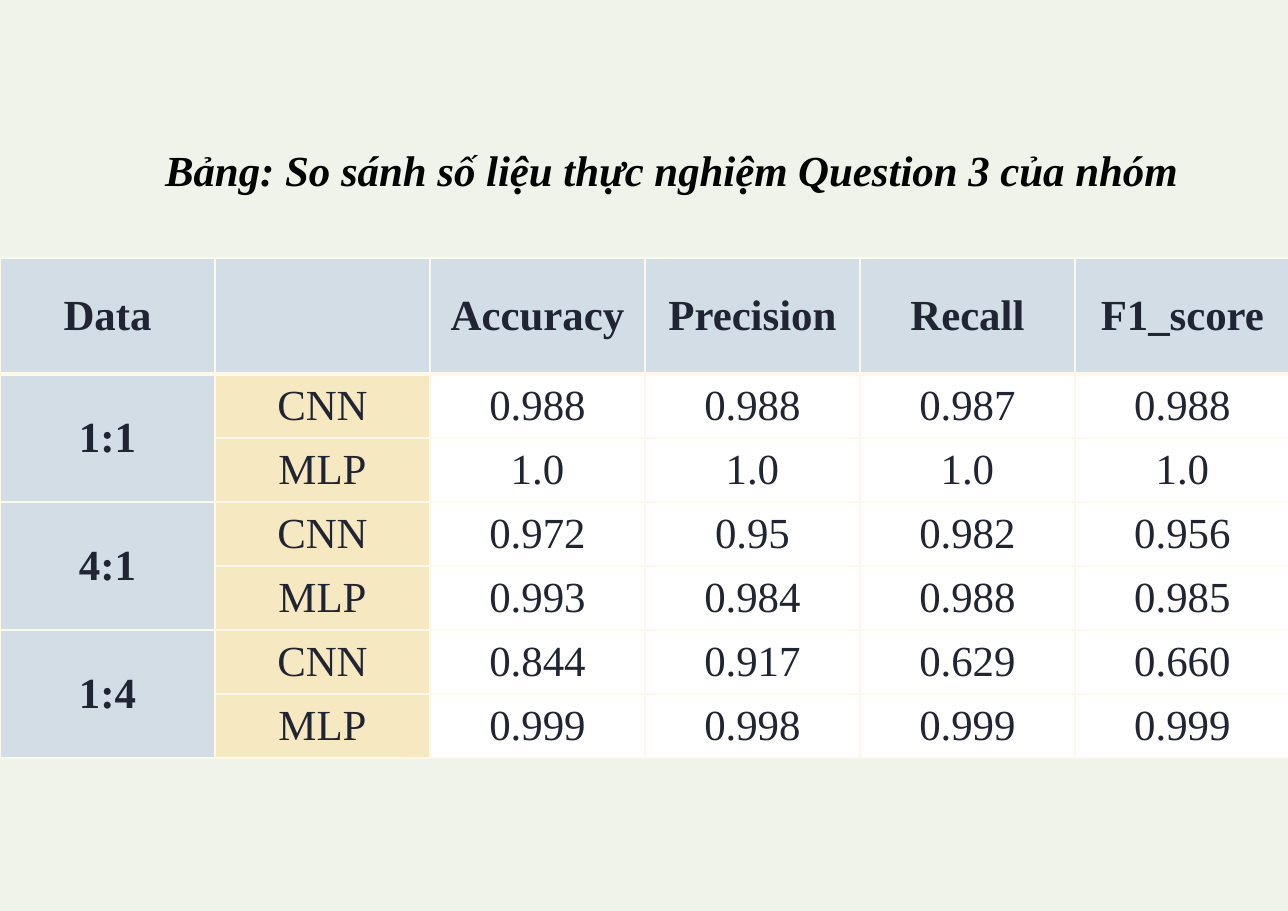
from dataclasses import dataclass

from lxml import etree
from pptx import Presentation, util as u
from pptx.dml.color import RGBColor
from pptx.enum import text
from pptx.oxml import ns

# Content
TITLE = "Bảng: So sánh số liệu thực nghiệm Question 3 của nhóm"
HEADER = ["Data", "", "Accuracy", "Precision", "Recall", "F1_score"]
RESULTS = {
    "1:1": [
        ("CNN", "0.988", "0.988", "0.987", "0.988"),
        ("MLP", "1.0", "1.0", "1.0", "1.0"),
    ],
    "4:1": [
        ("CNN", "0.972", "0.95", "0.982", "0.956"),
        ("MLP", "0.993", "0.984", "0.988", "0.985"),
    ],
    "1:4": [
        ("CNN", "0.844", "0.917", "0.629", "0.660"),
        ("MLP", "0.999", "0.998", "0.999", "0.999"),
    ],
}


@dataclass(frozen=True)
class Theme:
    font: str = "Times New Roman"
    size: int = 28
    background: str = "EFF3EA"
    title: str = "000000"
    ink: str = "212432"
    heading_fill: str = "D2DDE6"
    model_fill: str = "F6E9C1"
    value_fill: str = "FFFFFF"
    border: str = "FCF8EB"
    thin: int = 1
    thick: int = 3


THEME = Theme()

# Layout in px
SLIDE_WIDTH, SLIDE_HEIGHT = 1288, 911
TITLE_BOX = (154, 138, 1036, 63)
TABLE_TOP, COLUMN_WIDTH = 258, 215
HEADER_HEIGHT, ROW_HEIGHT = 116, 64


def px(length):
    return u.Emu(round(length * 914400 / 110.2))


def style_paragraph(paragraph, color, bold, italic=False):
    font = paragraph.font
    font.name, font.size = THEME.font, u.Pt(THEME.size)
    font.bold, font.italic = bold, italic
    font.color.rgb = RGBColor.from_string(color)


def add_borders(cell, row):
    widths = {
        "lnL": THEME.thin,
        "lnR": THEME.thin,
        "lnT": THEME.thick if row == 1 else THEME.thin,
        "lnB": THEME.thick if row == 0 else THEME.thin,
    }
    properties = cell._tc.get_or_add_tcPr()
    for side, width in widths.items():
        line = etree.SubElement(properties, ns.qn(f"a:{side}"), w=str(u.Pt(width)))
        fill = etree.SubElement(line, ns.qn("a:solidFill"))
        etree.SubElement(fill, ns.qn("a:srgbClr"), val=THEME.border)


def fill_cell(cell, words, row, column):
    heading = row == 0 or column == 0
    if heading:
        color = THEME.heading_fill
    else:
        color = THEME.model_fill if column == 1 else THEME.value_fill
    add_borders(cell, row)
    cell.fill.solid()
    cell.fill.fore_color.rgb = RGBColor.from_string(color)
    cell.vertical_anchor = text.MSO_ANCHOR.MIDDLE
    if words:
        paragraph = cell.text_frame.paragraphs[0]
        paragraph.text = words
        paragraph.alignment = text.PP_ALIGN.CENTER
        style_paragraph(paragraph, THEME.ink, bold=heading)


def add_title(slide):
    title = slide.shapes.title
    title.left, title.top, title.width, title.height = map(px, TITLE_BOX)
    frame = title.text_frame
    frame.text = TITLE
    frame.word_wrap = False
    frame.auto_size = text.MSO_AUTO_SIZE.SHAPE_TO_FIT_TEXT
    frame.vertical_anchor = text.MSO_ANCHOR.TOP
    paragraph = frame.paragraphs[0]
    paragraph.alignment = text.PP_ALIGN.LEFT
    style_paragraph(paragraph, THEME.title, bold=True, italic=True)


def add_results(slide):
    rows = [HEADER]
    for ratio, models in RESULTS.items():
        for index, values in enumerate(models):
            rows.append([ratio if index == 0 else "", *values])

    height = HEADER_HEIGHT + ROW_HEIGHT * (len(rows) - 1)
    table = slide.shapes.add_table(
        len(rows), len(HEADER), 0, px(TABLE_TOP),
        px(COLUMN_WIDTH * len(HEADER)), px(height),
    ).table
    for column in table.columns:
        column.width = px(COLUMN_WIDTH)
    for index, row in enumerate(table.rows):
        row.height = px(ROW_HEIGHT if index else HEADER_HEIGHT)

    for row, values in enumerate(rows):
        for column, words in enumerate(values):
            fill_cell(table.cell(row, column), words, row, column)

    # Each ratio spans its models
    first = 1
    for models in RESULTS.values():
        last = first + len(models) - 1
        table.cell(first, 0).merge(table.cell(last, 0))
        first = last + 1


def main():
    presentation = Presentation()
    presentation.slide_width = px(SLIDE_WIDTH)
    presentation.slide_height = px(SLIDE_HEIGHT)
    slide = presentation.slides.add_slide(presentation.slide_layouts[5])
    background = slide.background.fill
    background.solid()
    background.fore_color.rgb = RGBColor.from_string(THEME.background)
    add_title(slide)
    add_results(slide)
    presentation.save("out.pptx")


if __name__ == "__main__":
    main()
